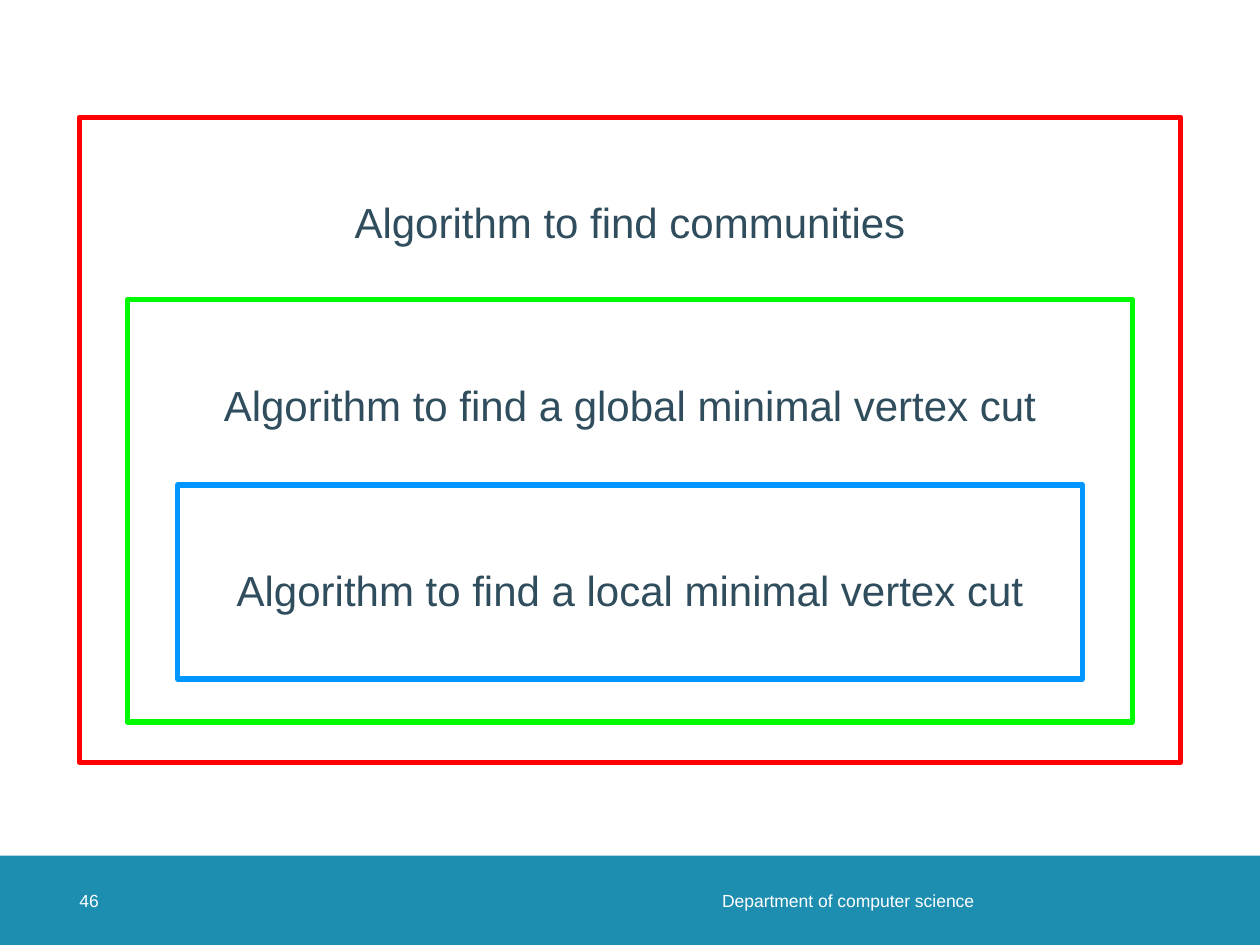
"""Build a slide of three nested algorithm frames above a footer band."""
from dataclasses import dataclass

from lxml.etree import SubElement
from pptx import Presentation
from pptx.dml.color import RGBColor
from pptx.enum.shapes import MSO_SHAPE
from pptx.enum.text import MSO_ANCHOR, PP_ALIGN
from pptx.oxml.ns import qn
from pptx.shapes.autoshape import Shape
from pptx.slide import Slide
from pptx.util import Inches, Pt

SLIDE_WIDTH = 10
FOOTER_TOP = 6.79
FOOTER_HEIGHT = 0.71


@dataclass
class Frame:
    label: str
    margin: float
    top: float
    height: float
    color: str


@dataclass
class FooterText:
    label: str
    left: float
    width: float
    align: PP_ALIGN
    right_inset: float


FRAMES = [
    Frame("Algorithm to find a global minimal vertex cut", 1.01, 2.38, 3.35, "00FA00"),
    Frame("Algorithm to find a local minimal vertex cut", 1.41, 3.85, 1.54, "0096FF"),
    Frame("Algorithm to find communities", 0.63, 0.93, 5.12, "FF0000"),
]
FOOTER_TEXTS = [
    FooterText("Department of computer science", 3.89, 4.04, PP_ALIGN.RIGHT, 0.2),
    FooterText("46", 0.63, 0.71, PP_ALIGN.LEFT, 0),
]


def rgb(color: str) -> RGBColor:
    return RGBColor.from_string(color)


def write(shape: Shape, label: str, size: int, color: str, align: PP_ALIGN,
          anchor: MSO_ANCHOR, top_inset: float = 0, right_inset: float = 0) -> None:
    text_frame = shape.text_frame
    text_frame.text = label
    text_frame.word_wrap = True
    text_frame.vertical_anchor = anchor
    text_frame.margin_left = text_frame.margin_bottom = 0
    text_frame.margin_top = Inches(top_inset)
    text_frame.margin_right = Inches(right_inset)
    paragraph = text_frame.paragraphs[0]
    paragraph.alignment = align
    font = paragraph.runs[0].font
    font.name = "Arial"
    font.size = Pt(size)
    font.color.rgb = rgb(color)


def draw_frame(slide: Slide, frame: Frame) -> None:
    outline = slide.shapes.add_shape(
        MSO_SHAPE.RECTANGLE, Inches(frame.margin), Inches(frame.top),
        Inches(SLIDE_WIDTH - 2 * frame.margin), Inches(frame.height))
    outline.shadow.inherit = False
    outline.fill.background()
    outline.line.color.rgb = rgb(frame.color)
    outline.line.width = Pt(3)
    SubElement(outline.line._get_or_add_ln(), qn("a:round"))
    write(outline, frame.label, 24, "2F4D5D", PP_ALIGN.CENTER, MSO_ANCHOR.TOP, top_inset=0.63)


def draw_band(slide: Slide) -> None:
    band = slide.shapes.add_shape(
        MSO_SHAPE.RECTANGLE, 0, Inches(FOOTER_TOP), Inches(SLIDE_WIDTH), Inches(FOOTER_HEIGHT))
    band.shadow.inherit = False
    band.fill.solid()
    band.fill.fore_color.rgb = rgb("1D8DB0")
    band.line.fill.background()


def draw_footer_text(slide: Slide, footer: FooterText) -> None:
    box = slide.shapes.add_textbox(
        Inches(footer.left), Inches(FOOTER_TOP), Inches(footer.width), Inches(FOOTER_HEIGHT))
    write(box, footer.label, 10, "FFFFFF", footer.align, MSO_ANCHOR.MIDDLE,
          right_inset=footer.right_inset)


def main() -> None:
    presentation = Presentation()
    presentation.slide_width = Inches(SLIDE_WIDTH)
    presentation.slide_height = Inches(7.5)
    slide = presentation.slides.add_slide(presentation.slide_layouts[6])
    draw_band(slide)
    for footer in FOOTER_TEXTS:
        draw_footer_text(slide, footer)
    for frame in FRAMES:
        draw_frame(slide, frame)
    presentation.save("out.pptx")


if __name__ == "__main__":
    main()
